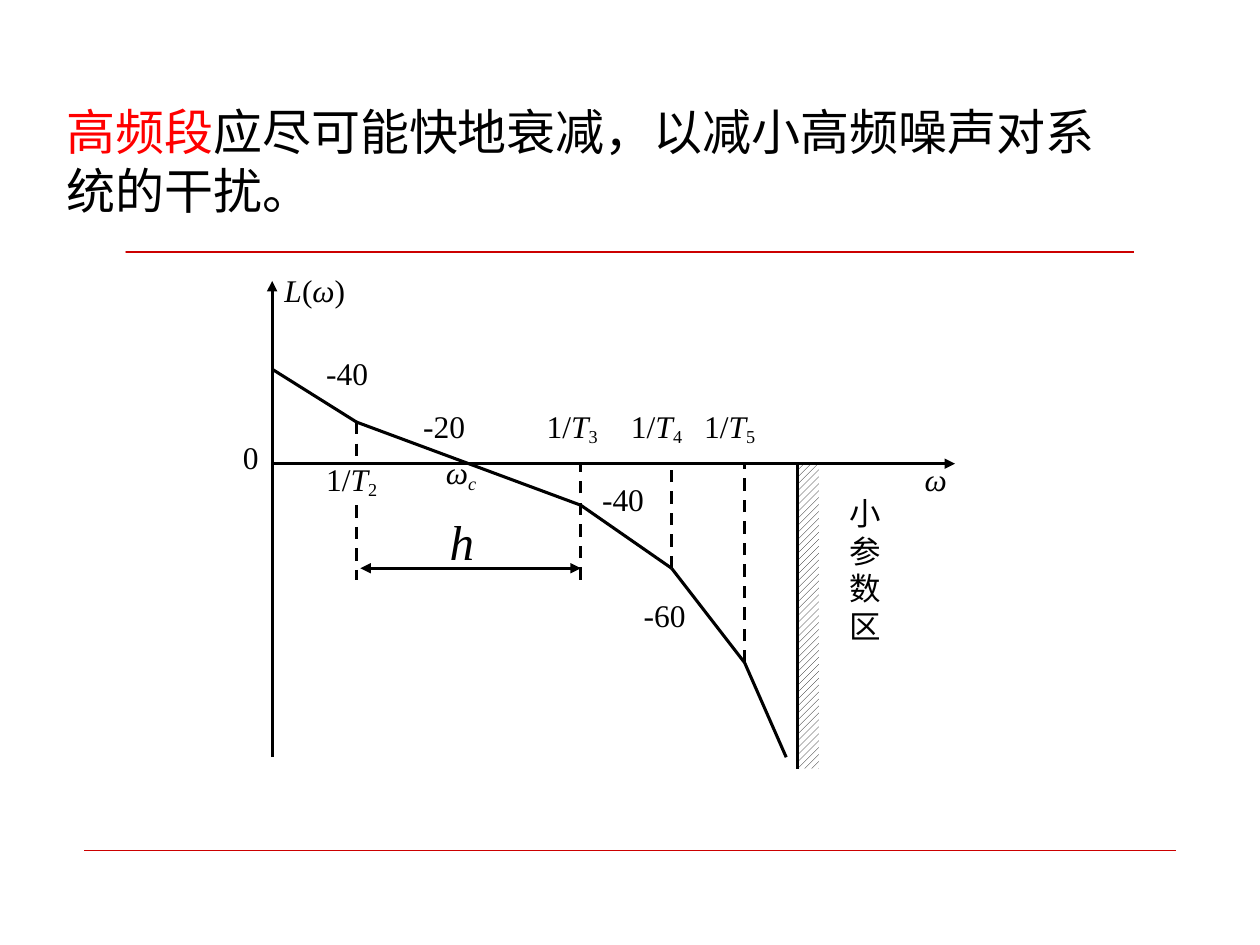
from itertools import pairwise

from lxml import etree
from pptx import Presentation
from pptx.dml.color import RGBColor
from pptx.enum import dml, shapes
from pptx.oxml.ns import qn
from pptx.util import Inches, Pt

BLACK, RED, BAR_RED = "000000", "FF0000", "CC0000"
SERIF = "Times New Roman"

TITLE = [("高频段", RED), ("应尽可能快地衰减，以减小高频噪声对系统的干扰。", BLACK)]

# Places in inches
X0, Y0 = 2.16, 3.68             # where the axes cross
X2, X3, X4, X5 = 2.83, 4.61, 5.33, 5.91   # corner frequencies
XS = 6.33                       # edge of the small-parameter zone
Y2, Y3, Y4, Y5, Y_END = 3.35, 4.01, 4.51, 5.26, 6.01
MARK_END = 4.6

CURVE = [(X0, 2.93), (X2, Y2), (X3, Y3), (X4, Y4), (X5, Y5), (6.24, Y_END)]
DASHES = [
    ((X2, Y2), (X2, Y0)),
    ((X2, Y3), (X2, MARK_END)),
    ((X3, MARK_END), (X3, Y0)),
    ((X4, Y4), (X4, Y0)),
    ((X5, Y5), (X5, Y0)),
]
AXES = [((X0, Y0), (7.58, Y0)), ((X0, Y_END), (X0, 2.23))]

SLOPES = [("-40", 2.49, 2.76), ("-20", 3.26, 3.18), ("-40", 4.68, 3.76), ("-60", 5.01, 4.68)]
CORNERS = [("2", 2.49, 3.6), ("3", 4.24, 3.18), ("4", 4.91, 3.18), ("5", 5.49, 3.18)]
# Runs are (text, style): i italic, s subscript
SYMBOLS = [
    ([("0", "")], 1.83, 3.43, 0.37),
    ([("ω", "i")], 7.24, 3.6, 0.43),
    ([("L", "i"), ("(", ""), ("ω", "i"), (")", "")], X0, 2.1, 0.84),
    ([("ω", "i"), ("c", "is")], 3.44, 3.55, 0.67),
]
ZONE = "小参数区"


def rgb(value):
    return RGBColor.from_string(value)


def add_line(slide, start, end, color=BLACK, width=1.75, dash=False, arrows=()):
    """Draw a straight line; arrows names the ends (headEnd, tailEnd) that get a triangle."""
    c = slide.shapes.add_connector(
        shapes.MSO_CONNECTOR.STRAIGHT, *(Inches(v) for v in (*start, *end)))
    c.line.color.rgb = rgb(color)
    c.line.width = Pt(width)
    if dash:
        c.line.dash_style = dml.MSO_LINE.DASH
    ln = c.line._get_or_add_ln()
    for end_name in arrows:
        etree.SubElement(ln, qn(f"a:{end_name}")).set("type", "triangle")
    etree.SubElement(c._element.spPr, qn("a:effectLst"))


def add_run(p, content, size, font, color=BLACK, style=""):
    r = p.add_run()
    r.text = content
    r.font.size, r.font.name = Pt(size), font
    r.font.color.rgb = rgb(color)
    r.font.italic = "i" in style
    if "s" in style:
        r._r.get_or_add_rPr().set("baseline", "-18000")


def add_box(slide, x, y, w, h):
    tf = slide.shapes.add_textbox(*(Inches(v) for v in (x, y, w, h))).text_frame
    tf.word_wrap = True
    return tf


def add_label(slide, runs, x, y, w, h=0.5, size=18):
    p = add_box(slide, x, y, w, h).paragraphs[0]
    for content, style in runs:
        add_run(p, content, size, SERIF, style=style)


def add_frame(slide):
    """Draw the red bar with its thin rule under the title, and the footer rule."""
    left, top, bar_right, bottom, right = 0.67, 1.71, 5.76, 1.83, 9.37
    fb = slide.shapes.build_freeform(left, top, scale=Inches(1))
    fb.add_line_segments([(bar_right, top), (bar_right, bottom), (left, bottom)])
    fb.move_to(left, top)
    fb.add_line_segments([(right, top)], close=False)
    bar = fb.convert_to_shape()
    bar.shadow.inherit = False
    bar.fill.solid()
    bar.fill.fore_color.rgb = rgb(BAR_RED)
    bar.line.color.rgb = rgb(BAR_RED)
    bar.line.width = Pt(0.75)
    add_line(slide, (left, 6.75), (9.33, 6.75), BAR_RED, 0.25)


def add_zone(slide):
    bottom = 6.1
    sp = slide.shapes.add_shape(
        shapes.MSO_SHAPE.RECTANGLE, *(Inches(v) for v in (XS, Y0, 0.17, bottom - Y0)))
    sp.shadow.inherit = False
    sp.fill.patterned()
    sp.fill.pattern = dml.MSO_PATTERN.WIDE_UPWARD_DIAGONAL
    sp.fill.fore_color.rgb = rgb(BLACK)
    sp.fill.back_color.rgb = rgb("FFFFFF")
    sp.line.fill.background()
    add_line(slide, (XS, Y0), (XS, bottom))
    tf = add_box(slide, 6.64, 3.87, 0.53, 1.7)
    for n, char in enumerate(ZONE):
        p = tf.add_paragraph() if n else tf.paragraphs[0]
        add_run(p, char, 18, SERIF)


def main():
    prs = Presentation()
    prs.slide_width, prs.slide_height = Inches(10), Inches(7.5)
    slide = prs.slides.add_slide(prs.slide_layouts[6])

    add_frame(slide)
    title = add_box(slide, 0.43, 0.76, 8.63, 1.04).paragraphs[0]
    for content, color in TITLE:
        add_run(title, content, 28, "Arial", color)

    add_zone(slide)
    for start, end in AXES:
        add_line(slide, start, end, arrows=["tailEnd"])
    for start, end in pairwise(CURVE):
        add_line(slide, start, end)
    for start, end in DASHES:
        add_line(slide, start, end, dash=True)
    add_line(slide, (2.86, Y4), (X3, Y4), arrows=["headEnd", "tailEnd"])

    for runs, x, y, w in SYMBOLS:
        add_label(slide, runs, x, y, w)
    for slope, x, y in SLOPES:
        add_label(slide, [(slope, "")], x, y, 0.65)
    for index, x, y in CORNERS:
        add_label(slide, [("1/", ""), ("T", "i"), (index, "s")], x, y, 1)
    add_label(slide, [("h", "i")], 3.47, 4.01, 0.4, 0.57, size=28)

    prs.save("out.pptx")


if __name__ == "__main__":
    main()
